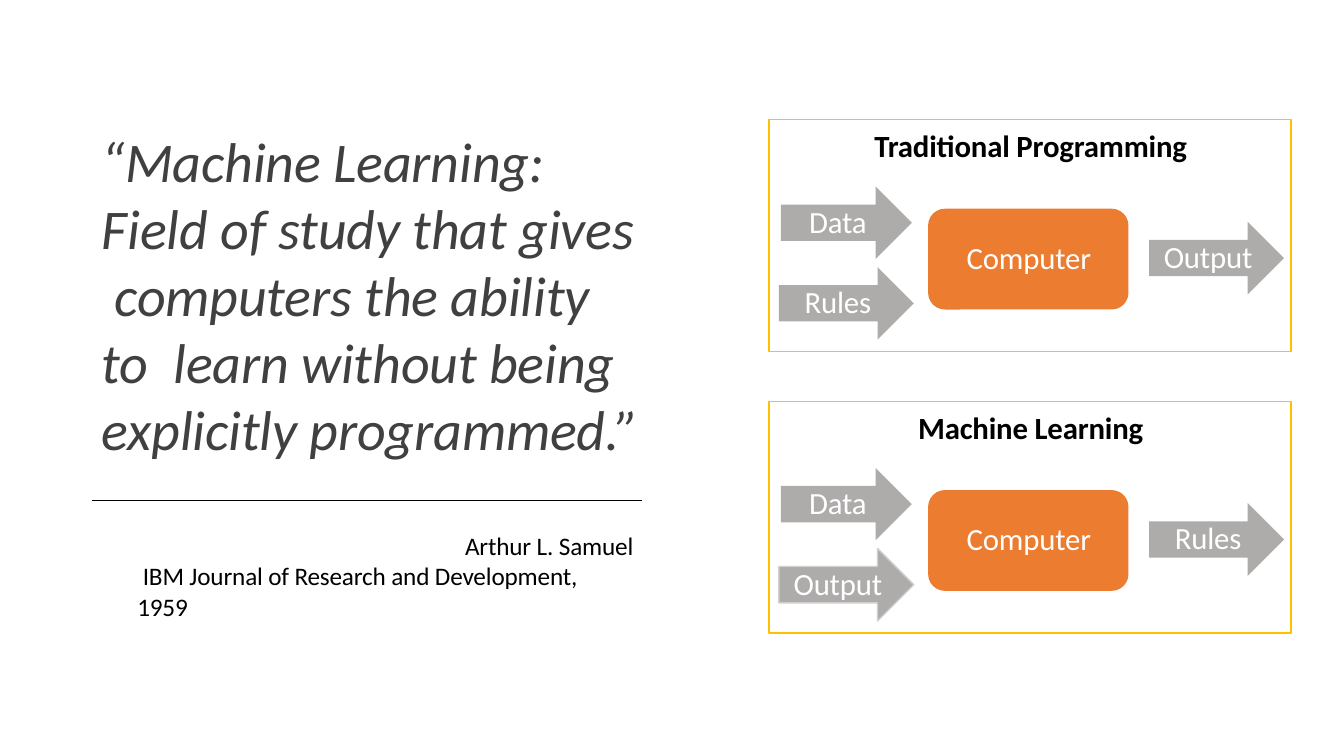
import pptx
import pptx.dml.color
import pptx.enum.shapes
import pptx.enum.text
import pptx.oxml
import pptx.util
import lxml.etree

Cm = pptx.util.Cm
Pt = pptx.util.Pt
Kind = pptx.enum.shapes.MSO_SHAPE
Anchor = pptx.enum.text.MSO_ANCHOR
Align = pptx.enum.text.PP_ALIGN

COLORS = {
    "quote": "404040",
    "ink": "000000",
    "white": "FFFFFF",
    "box": "EC7C30",
    "arrow": "AEABAB",
    "edge": "D0CECE",
    "frame": "FFC000",
}

QUOTE = [
    "“Machine Learning:",
    "Field of study that gives",
    " computers the ability",
    "to  learn without being",
    "explicitly programmed.”",
]
SOURCE = [
    "Arthur L. Samuel",
    " IBM Journal of Research and Development,",
    "1959",
]
# heading, upper input, lower input, result, edge of the lower input
PANELS = [
    ("Traditional Programming", "Data", "Rules", "Output", None),
    ("Machine Learning", "Data", "Output", "Rules", "edge"),
]
PANEL_X, PANEL_Y, PANEL_STEP = 19.38, 3.02, 7.09


def color(name):
    return pptx.dml.color.RGBColor.from_string(COLORS[name])


class Page:
    font = "Calibri"
    label = 22
    thin = 0.96

    def __init__(self, slide):
        self.slide = slide

    def place(self, item, x, y, w, h):
        item.left, item.top, item.width, item.height = Cm(x), Cm(y), Cm(w), Cm(h)

    def letter(self, item, lines, size, ink, anchor=Anchor.TOP, align=Align.LEFT,
               top=0.03, base=0, wrap=True, bold=False, slant=False, indent=0):
        """Fill the frame with one paragraph, one run for each line."""
        frame = item.text_frame
        frame.auto_size = pptx.enum.text.MSO_AUTO_SIZE.NONE
        frame.word_wrap = wrap
        frame.vertical_anchor = anchor
        frame.margin_left = frame.margin_right = 0
        frame.margin_top, frame.margin_bottom = Cm(top), Cm(base)
        para = frame.paragraphs[0]
        para.alignment = align
        para.line_spacing = 1.0
        para.space_before = Pt(0)
        props = para._p.get_or_add_pPr()
        props.set("marL", str(Cm(0.03)))
        props.set("indent", str(Cm(indent)))
        for index, line in enumerate(lines):
            if index:
                para.add_line_break()
            run = para.add_run()
            run.text = line
            run.font.name = self.font
            run.font.size = Pt(size)
            run.font.bold = bold
            run.font.italic = slant
            run.font.color.rgb = color(ink)
            run._r.get_or_add_rPr().set("spc", "-10")

    def title(self, lines, x, y, w, h):
        item = self.slide.shapes.title
        self.place(item, x, y, w, h)
        self.letter(item, lines, 40, "quote", slant=True)

    def note(self, lines, x, y, w, h, indent):
        item = self.slide.shapes.add_textbox(Cm(x), Cm(y), Cm(w), Cm(h))
        self.letter(item, lines, 18, "ink", indent=indent)

    def rule(self, x, y, end):
        item = self.slide.shapes.add_connector(
            pptx.enum.shapes.MSO_CONNECTOR.STRAIGHT, Cm(x), Cm(y), Cm(end), Cm(y))
        item.line.color.rgb = color("ink")
        item.line.width = Pt(0.48)
        lxml.etree.SubElement(item._element.spPr, pptx.oxml.ns.qn("a:effectLst"))

    def shape(self, kind, x, y, w, h, fill=None, edge=None):
        item = self.slide.shapes.add_shape(kind, Cm(x), Cm(y), Cm(w), Cm(h))
        item.shadow.inherit = False
        if fill:
            item.fill.solid()
            item.fill.fore_color.rgb = color(fill)
        else:
            item.fill.background()
        if edge:
            item.line.color.rgb = color(edge)
            item.line.width = Pt(self.thin)
        else:
            item.line.fill.background()
        return item

    def block(self, kind, text, x, y, w, h, fill, edge=None):
        item = self.shape(kind, x, y, w, h, fill, edge)
        self.letter(item, [text], self.label, "white", Anchor.MIDDLE, Align.CENTER,
                    top=0, base=0.1, wrap=False)

    def arrow(self, text, x, y, w, edge=None):
        self.block(Kind.RIGHT_ARROW, text, x, y, w, 1.83, "arrow", edge)

    def panel(self, x, y, head, upper, lower, result, edge):
        frame = self.shape(Kind.RECTANGLE, x, y, 13.16, 5.84, edge="frame")
        self.letter(frame, [head], self.label, "ink", align=Align.CENTER,
                    top=0.18, bold=True)
        self.block(Kind.ROUNDED_RECTANGLE, "Computer",
                   x + 4.01, y + 2.24, 5.05, 2.54, "box")
        self.arrow(upper, x + 0.3, y + 1.68, 3.3)
        self.arrow(lower, x + 0.25, y + 3.71, 3.4, edge)
        self.arrow(result, x + 9.58, y + 2.57, 3.4)


def main():
    deck = pptx.Presentation()
    deck.slide_width, deck.slide_height = Cm(33.87), Cm(19.05)
    page = Page(deck.slides.add_slide(deck.slide_layouts[5]))
    page.title(QUOTE, 2.54, 3.15, 13.69, 8.53)
    page.rule(2.31, 12.6, 16.18)
    page.note(SOURCE, 3.43, 13.34, 12.65, 2.4, indent=8.26)
    for index, words in enumerate(PANELS):
        page.panel(PANEL_X, PANEL_Y + index * PANEL_STEP, *words)
    deck.save("out.pptx")


if __name__ == "__main__":
    main()
